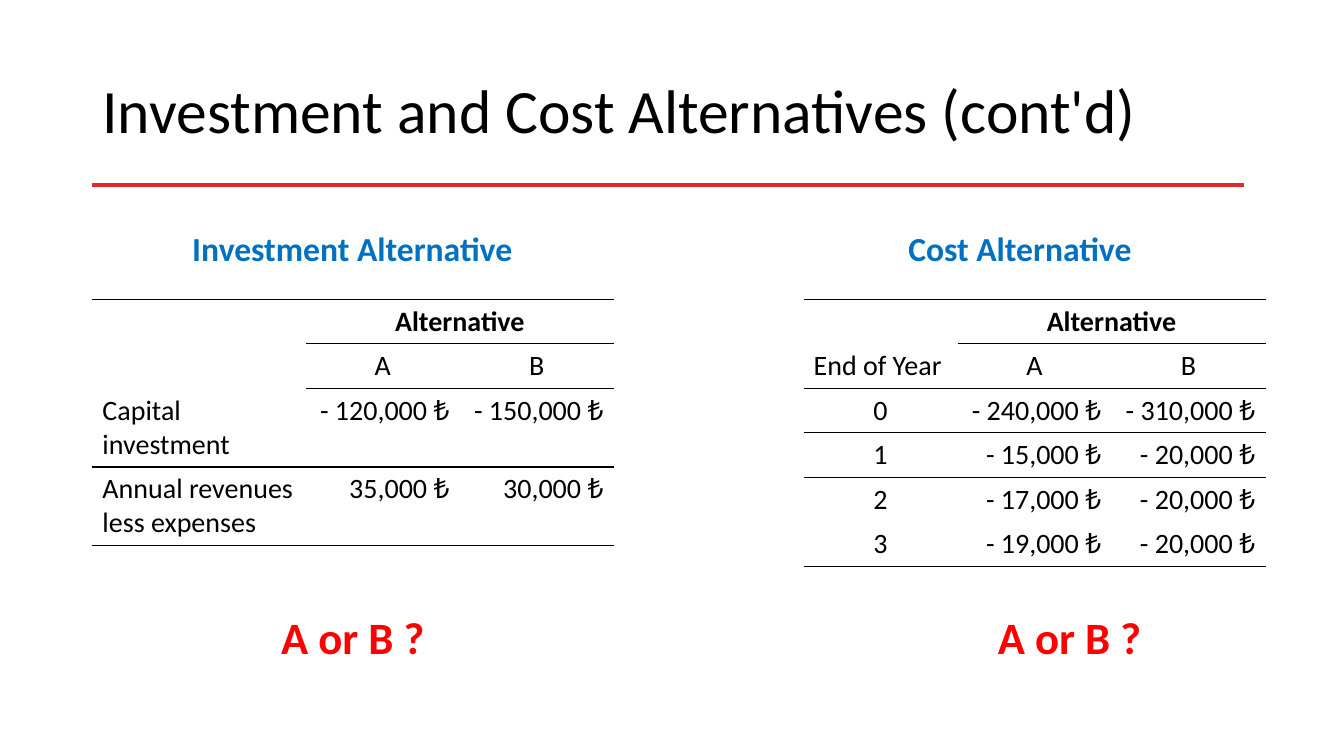
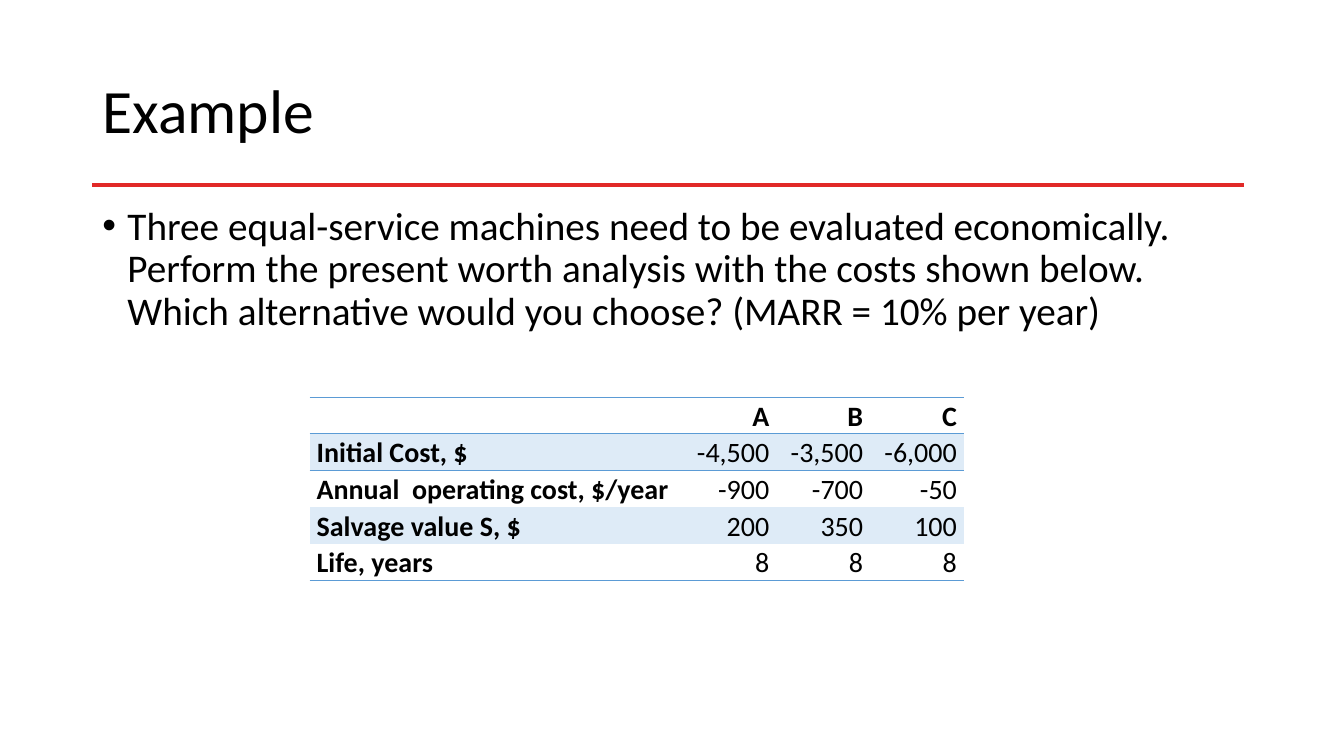
from dataclasses import dataclass

from lxml.etree import SubElement
from pptx import Presentation
from pptx.dml.color import RGBColor
from pptx.enum.text import MSO_ANCHOR, MSO_AUTO_SIZE, PP_ALIGN
from pptx.oxml.ns import qn
from pptx.util import Pt


@dataclass(frozen=True)
class Theme:
    """Colours, font and type sizes of the presentation."""

    font: str = "Calibri"
    ink: RGBColor = RGBColor.from_string("000000")
    rule: RGBColor = RGBColor.from_string("E12927")
    heading: RGBColor = RGBColor.from_string("0070C0")
    question: RGBColor = RGBColor.from_string("FF0000")
    accent: RGBColor = RGBColor.from_string("5B9BD5")
    band: RGBColor = RGBColor.from_string("DEEBF7")
    title_size: int = 44
    question_size: int = 32
    body_size: int = 28
    heading_size: int = 24
    table_size: int = 20


THEME = Theme()
ALIGN = {"l": PP_ALIGN.LEFT, "c": PP_ALIGN.CENTER, "r": PP_ALIGN.RIGHT}
PLAIN_TABLE_STYLE = "{2D5ABB26-0587-4C30-8999-92F81FD0307C}"
MARGIN = 66
CONTENT_WIDTH = 828


def write(frame, text, size, color=THEME.ink, bold=False, align="l", spacing=None, bullet_indent=0):
    """Put one formatted paragraph into a text frame."""
    frame.text = text
    paragraph = frame.paragraphs[0]
    paragraph.alignment = ALIGN[align]
    if spacing:
        paragraph.line_spacing = spacing
    if bullet_indent:
        properties = paragraph._p.get_or_add_pPr()
        properties.set("marL", str(Pt(bullet_indent)))
        properties.set("indent", str(-Pt(bullet_indent)))
        SubElement(properties, qn("a:buFont")).set("typeface", "Arial")
        SubElement(properties, qn("a:buChar")).set("char", "•")
    font = paragraph.font
    font.name, font.size, font.bold = THEME.font, Pt(size), bold
    font.color.rgb = color


def add_label(slide, left, top, width, height, text, wrap=False, **text_format):
    """Add a text box holding one paragraph."""
    box = slide.shapes.add_textbox(Pt(left), Pt(top), Pt(width), Pt(height))
    box.text_frame.word_wrap = wrap
    write(box.text_frame, text, **text_format)


def add_titled_slide(deck, text):
    """Add a slide with the shared title style and red rule."""
    slide = deck.slides.add_slide(deck.slide_layouts[5])
    rule = slide.shapes.add_connector(1, Pt(MARGIN), Pt(132), Pt(888.5), Pt(132))
    rule.line.color.rgb = THEME.rule
    rule.line.width = Pt(3)
    SubElement(rule._element.spPr, qn("a:effectLst"))
    title = slide.shapes.title
    title.left, title.top = Pt(MARGIN), Pt(28.8)
    title.width, title.height = Pt(CONTENT_WIDTH), Pt(104.4)
    frame = title.text_frame
    frame.word_wrap = True
    frame.auto_size = MSO_AUTO_SIZE.NONE
    frame.vertical_anchor = MSO_ANCHOR.MIDDLE
    write(frame, text, THEME.title_size, spacing=0.9)
    return slide


def add_border(cell, edge, color):
    """Draw a one-point border on one edge of a cell."""
    line = SubElement(cell._tc.get_or_add_tcPr(), qn(f"a:{edge}"), w=str(Pt(1)))
    fill = SubElement(line, qn("a:solidFill"))
    SubElement(fill, qn("a:srgbClr"), val=str(color))


def add_ruled_table(slide, left, top, widths, heights, rows, rules, aligns, header_rows=1,
                    header_align="c", rule_color=THEME.ink, bold_labels=False,
                    band_rows=(), insets=None, spacing=None):
    """Add a table whose rules map a row boundary to the first ruled column."""
    frame = slide.shapes.add_table(len(rows), len(widths), Pt(left), Pt(top),
                                   Pt(sum(widths)), Pt(sum(heights)))
    table = frame.table
    table.first_row = table.horz_banding = False
    for style in frame._element.iter(qn("a:tableStyleId")):
        style.text = PLAIN_TABLE_STYLE
    for column, width in zip(table.columns, widths):
        column.width = Pt(width)
    for row, height in zip(table.rows, heights):
        row.height = Pt(height)
    for r, values in enumerate(rows):
        for c, value in enumerate(values):
            cell = table.cell(r, c)
            if insets:
                cell.margin_left = cell.margin_right = Pt(insets[0])
                cell.margin_top = cell.margin_bottom = Pt(insets[1])
            for edge, boundary in (("lnT", r), ("lnB", r + 1)):
                if c >= rules.get(boundary, len(widths)):
                    add_border(cell, edge, rule_color)
            if r in band_rows:
                cell.fill.solid()
                cell.fill.fore_color.rgb = THEME.band
            else:
                cell.fill.background()
            header = r < header_rows
            align = header_align if header and c else "l" if header else aligns[c]
            write(cell.text_frame, value, THEME.table_size, align=align, spacing=spacing,
                  bold=r == 0 or (bold_labels and c == 0))
    return table


def add_alternative(slide, left, top, heading, heading_center, heading_width,
                    question_center, **table_format):
    """Add a heading, a table of alternatives A and B, and the question below."""
    add_label(slide, left + heading_center - heading_width / 2, top, heading_width, 36, heading,
              size=THEME.heading_size, color=THEME.heading, bold=True, align="c")
    table = add_ruled_table(slide, left, top + 54.8, header_rows=2, **table_format)
    table.cell(0, 1).merge(table.cell(0, 2))
    add_label(slide, left + question_center - 59, top + 273, 118, 46, "A or B ?",
              size=THEME.question_size, color=THEME.question, bold=True, align="c")


def build_alternatives(deck):
    """Build the slide comparing investment and cost alternatives."""
    slide = add_titled_slide(deck, "Investment and Cost Alternatives (cont'd)")
    line_height, double_height = 31.8, 56.2
    add_alternative(
        slide, MARGIN, 159, "Investment Alternative", 185.6, 245.5, 186,
        widths=(152.5, 110, 110), heights=(line_height,) * 2 + (double_height,) * 2,
        rules={0: 0, 1: 1, 3: 0, 4: 0}, aligns="lrr",
        rows=[("", "Alternative", ""),
              ("", "A", "B"),
              ("Capital investment", "- 120,000 ₺", "- 150,000 ₺"),
              ("Annual revenues less expenses", "35,000 ₺", "30,000 ₺")])
    add_alternative(
        slide, 574, 159, "Cost Alternative", 154.6, 175.7, 190,
        widths=(110,) * 3, heights=(line_height,) * 6,
        rules={0: 0, 1: 1, 2: 0, 3: 0, 6: 0}, aligns="crr",
        rows=[("", "Alternative", ""),
              ("End of Year", "A", "B"),
              ("0", "- 240,000 ₺", "- 310,000 ₺"),
              ("1", "- 15,000 ₺", "- 20,000 ₺"),
              ("2", "- 17,000 ₺", "- 20,000 ₺"),
              ("3", "- 19,000 ₺", "- 20,000 ₺")])


def build_example(deck):
    """Build the slide with the three-machine exercise."""
    slide = add_titled_slide(deck, "Example")
    add_label(slide, MARGIN, 144, CONTENT_WIDTH, 342.7,
              "Three equal-service machines need to be evaluated economically. "
              "Perform the present worth analysis with the costs shown below. "
              "Which alternative would you choose? (MARR = 10% per year)",
              wrap=True, size=THEME.body_size, spacing=0.9, bullet_indent=18)
    add_ruled_table(
        slide, 221.2, 283.7, widths=(266.4, 67, 67, 67), heights=(26.2,) * 5,
        rules={0: 0, 1: 0, 5: 0}, aligns="lrrr", header_align="r", rule_color=THEME.accent,
        bold_labels=True, band_rows=(1, 3), insets=(5, 0), spacing=1.07,
        rows=[("", "A", "B", "C"),
              ("Initial Cost, $", "-4,500", "-3,500", "-6,000"),
              ("Annual  operating cost, $/year", "-900", "-700", "-50"),
              ("Salvage value S, $", "200", "350", "100"),
              ("Life, years", "8", "8", "8")])


def main():
    """Build and save the presentation."""
    deck = Presentation()
    deck.slide_width, deck.slide_height = Pt(960), Pt(540)
    build_alternatives(deck)
    build_example(deck)
    deck.save("out.pptx")


if __name__ == "__main__":
    main()
